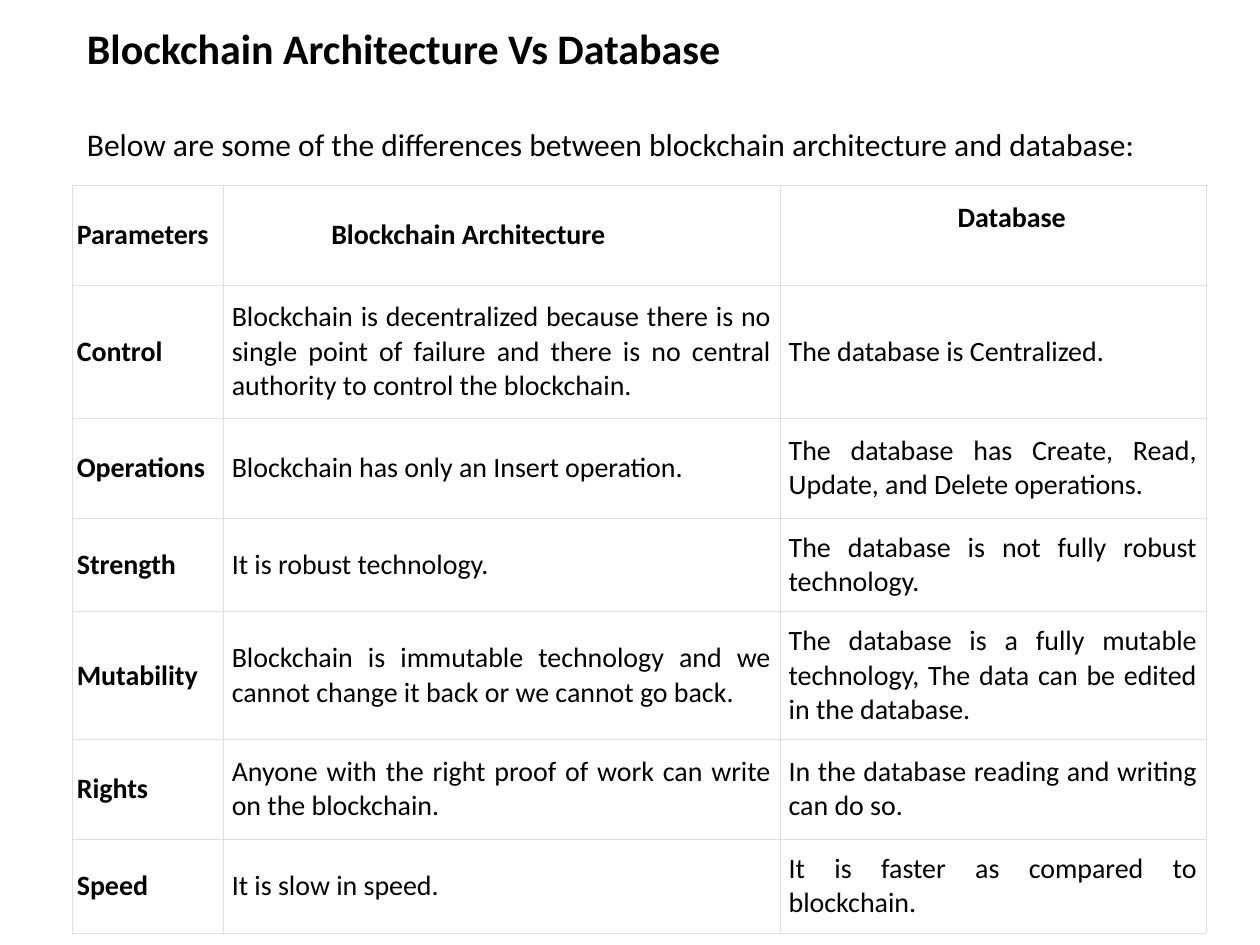
from dataclasses import dataclass

from lxml.etree import SubElement
from pptx import Presentation
from pptx.dml.color import RGBColor
from pptx.enum.text import MSO_ANCHOR, MSO_AUTO_SIZE, PP_ALIGN
from pptx.oxml import parse_xml
from pptx.oxml.ns import nsdecls, qn
from pptx.util import Inches, Pt

FONT = "Calibri"
BLACK, WHITE, GRID = "000000", "FFFFFF", "DFDFDF"
LEFT, WIDTH = 0.59, 8.98


@dataclass
class Comparison:
    """One table row: a parameter and how the two systems differ in it."""
    parameter: str
    blockchain: str
    database: str
    height: float


@dataclass
class Insets:
    """Cell margins in inches."""
    left: float
    top: float
    right: float
    bottom: float


COLUMN_WIDTHS = (1.2, 4.42, 3.38)
COMPARISONS = (
    Comparison("Parameters", "Blockchain Architecture", "Database", 0.79),
    Comparison("Control",
               "Blockchain is decentralized because there is no single point of failure "
               "and there is no central authority to control the blockchain.",
               "The database is Centralized.", 1.06),
    Comparison("Operations", "Blockchain has only an Insert operation.",
               "The database has Create, Read, Update, and Delete operations.", 0.79),
    Comparison("Strength", "It is robust technology.",
               "The database is not fully robust technology.", 0.74),
    Comparison("Mutability",
               "Blockchain is immutable technology and we cannot change it back "
               "or we cannot go back.",
               "The database is a fully mutable technology, The data can be edited "
               "in the database.", 1.01),
    Comparison("Rights", "Anyone with the right proof of work can write on the blockchain.",
               "In the database reading and writing can do so.", 0.79),
    Comparison("Speed", "It is slow in speed.",
               "It is faster as compared to blockchain.", 0.74),
)
HEADER_INSETS = (Insets(0.04, 0.07, 0.04, 0.07), Insets(0.86, 0.07, 0.07, 0.07),
                 Insets(1.41, 0.07, 0.07, 0.34))
PARAMETER_INSETS = Insets(0.04, 0.04, 0.04, 0.04)
DETAIL_INSETS = Insets(0.07, 0.1, 0.07, 0.1)


def color(value: str) -> RGBColor:
    """Turn a hex string into a colour."""
    return RGBColor.from_string(value)


def write(paragraph, text: str, size: float, bold: bool) -> None:
    """Add one justified run to a paragraph."""
    paragraph.alignment = PP_ALIGN.JUSTIFY
    run = paragraph.add_run()
    run.text = text
    run.font.name = FONT
    run.font.size = Pt(size)
    run.font.bold = bold
    run.font.color.rgb = color(BLACK)


def fill_placeholder(placeholder, text: str, top: float, height: float,
                     size: float, bold: bool) -> None:
    """Place a placeholder and give it one line without a bullet."""
    placeholder.left, placeholder.top = Inches(LEFT), Inches(top)
    placeholder.width, placeholder.height = Inches(WIDTH), Inches(height)
    frame = placeholder.text_frame
    frame.word_wrap = True
    frame.auto_size = MSO_AUTO_SIZE.NONE
    frame.vertical_anchor = MSO_ANCHOR.TOP
    paragraph = frame.paragraphs[0]
    paragraph.space_before = Pt(0)
    properties = paragraph._p.get_or_add_pPr()
    properties.set("marL", "0")
    properties.set("indent", "0")
    SubElement(properties, qn("a:buNone"))
    write(paragraph, text, size, bold)


def draw_borders(cell) -> None:
    """Put a hairline on all four sides of a cell."""
    properties = cell._tc.get_or_add_tcPr()
    for position, side in enumerate(("lnL", "lnR", "lnT", "lnB")):
        properties.insert(position, parse_xml(
            f'<a:{side} {nsdecls("a")} w="{Pt(0.15)}"><a:solidFill>'
            f'<a:srgbClr val="{GRID}"/></a:solidFill></a:{side}>'))


def fill_cell(cell, text: str, insets: Insets, bold: bool) -> None:
    """Format one table cell and write its text."""
    cell.fill.solid()
    cell.fill.fore_color.rgb = color(WHITE)
    cell.vertical_anchor = MSO_ANCHOR.MIDDLE
    cell.margin_left, cell.margin_top = Inches(insets.left), Inches(insets.top)
    cell.margin_right, cell.margin_bottom = Inches(insets.right), Inches(insets.bottom)
    draw_borders(cell)
    write(cell.text_frame.paragraphs[0], text, 16, bold)


def add_comparison_table(slide) -> None:
    """Build the table of differences."""
    total_height = sum(comparison.height for comparison in COMPARISONS)
    table = slide.shapes.add_table(
        len(COMPARISONS), len(COLUMN_WIDTHS), Inches(0.57), Inches(1.47),
        Inches(sum(COLUMN_WIDTHS)), Inches(total_height)).table
    table.horz_banding = False
    table.first_row = False
    for column, width in zip(table.columns, COLUMN_WIDTHS):
        column.width = Inches(width)
    detail_row_insets = (PARAMETER_INSETS, DETAIL_INSETS, DETAIL_INSETS)
    for row_index, comparison in enumerate(COMPARISONS):
        table.rows[row_index].height = Inches(comparison.height)
        is_header = row_index == 0
        row_insets = HEADER_INSETS if is_header else detail_row_insets
        texts = (comparison.parameter, comparison.blockchain, comparison.database)
        for column_index, (text, insets) in enumerate(zip(texts, row_insets)):
            fill_cell(table.cell(row_index, column_index), text, insets,
                      bold=is_header or column_index == 0)


def main() -> None:
    """Build and save the slide."""
    presentation = Presentation()
    presentation.slide_width, presentation.slide_height = Inches(10), Inches(7.5)
    slide = presentation.slides.add_slide(presentation.slide_layouts[1])
    slide.background.fill.solid()
    slide.background.fill.fore_color.rgb = color(WHITE)
    fill_placeholder(slide.shapes.title, "Blockchain Architecture Vs Database",
                     0.13, 0.6, 24, True)
    fill_placeholder(slide.placeholders[1],
                     "Below are some of the differences between blockchain "
                     "architecture and database:", 0.94, 0.45, 18, False)
    add_comparison_table(slide)
    presentation.save("out.pptx")


main()
